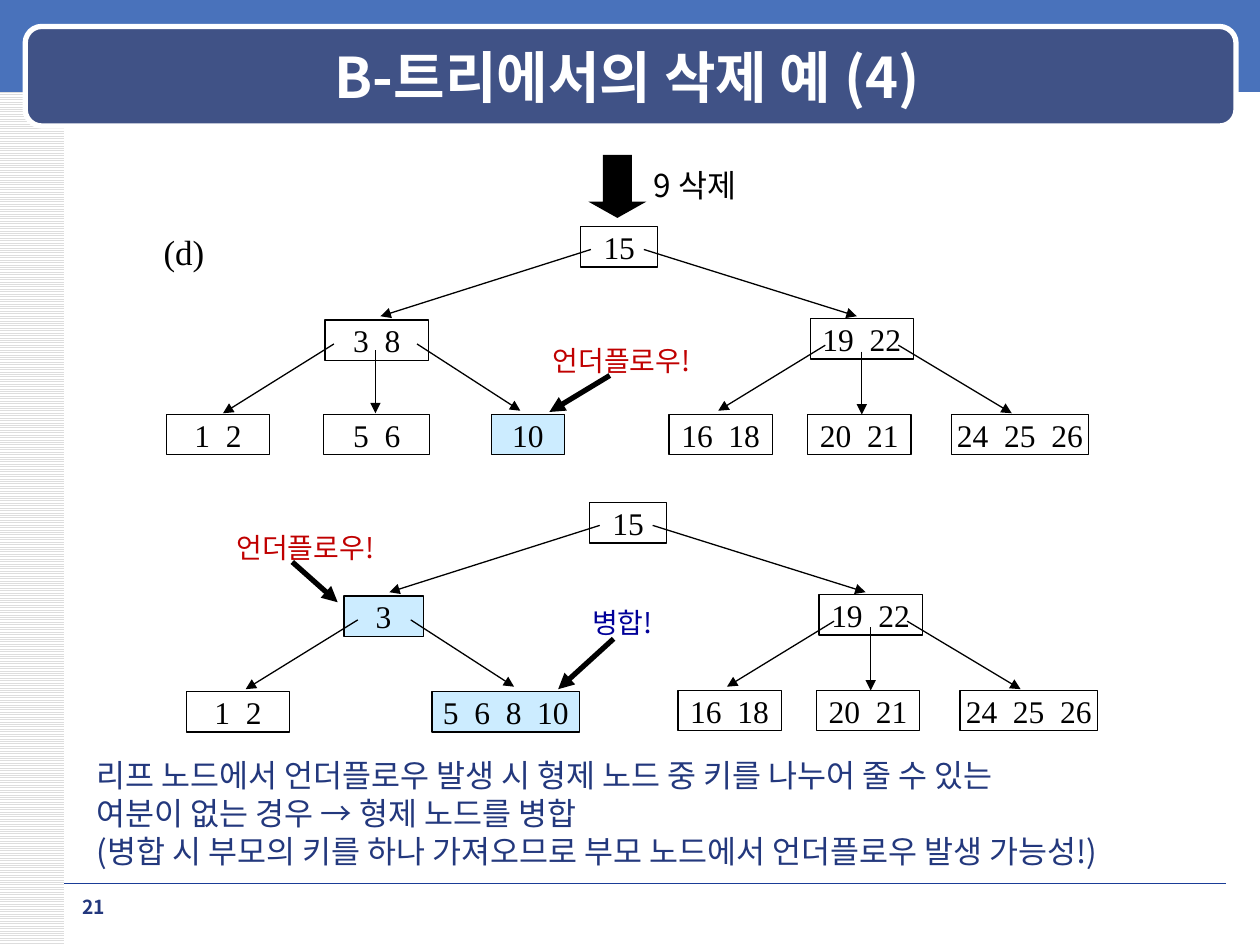
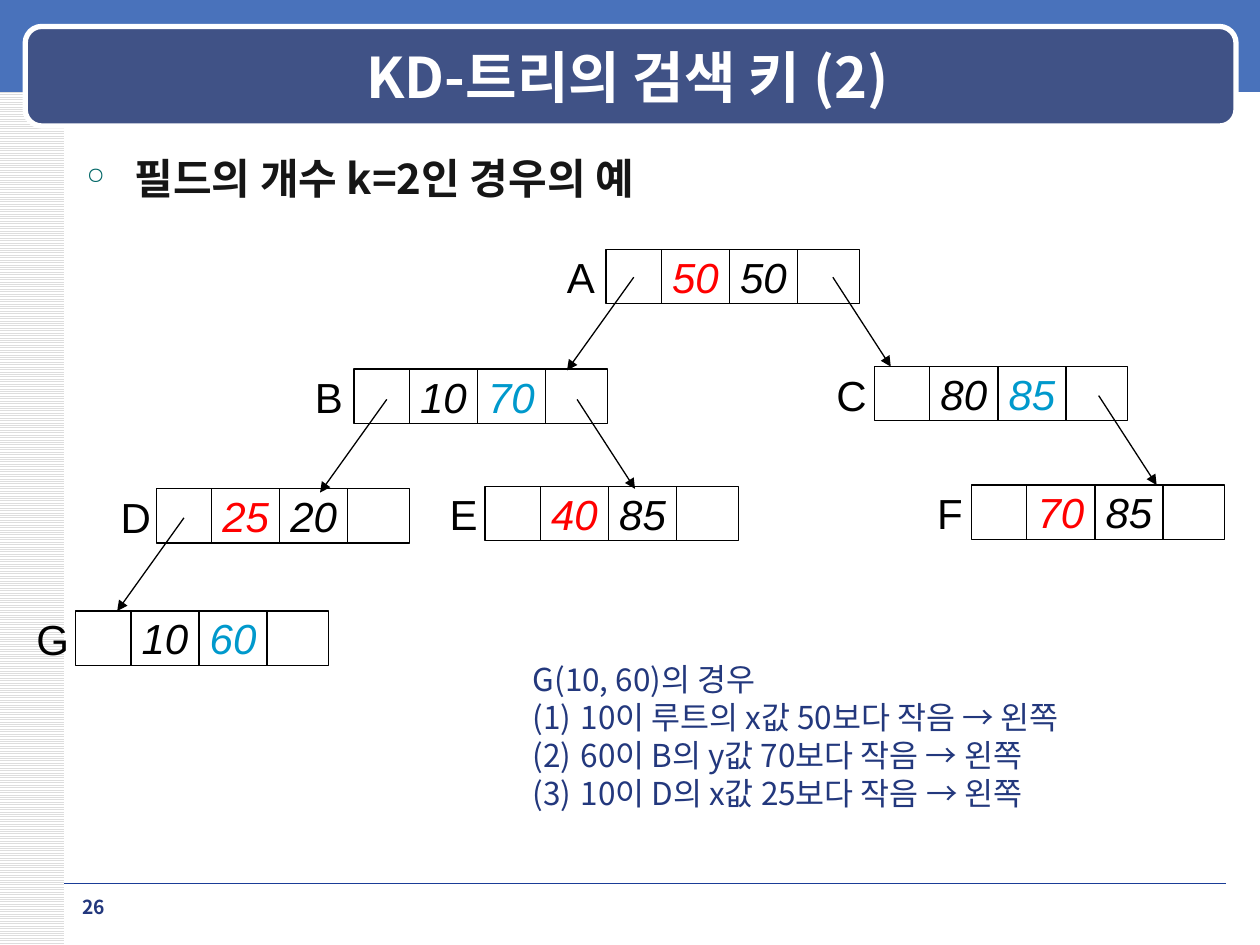
from lxml.etree import SubElement
from pptx import Presentation
from pptx.dml.color import RGBColor
from pptx.enum.dml import MSO_PATTERN
from pptx.enum.shapes import MSO_CONNECTOR, MSO_SHAPE
from pptx.enum.text import MSO_ANCHOR, MSO_AUTO_SIZE, PP_ALIGN
from pptx.oxml.ns import qn
from pptx.util import Inches, Pt

KOREAN, SERIF, SANS = "Noto Sans CJK KR", "Times New Roman", "Arial"
BLACK, WHITE, NAVY = "000000", "FFFFFF", "23387D"
RED, BLUE, WARNING, MERGE = "FF0000", "0099CC", "C00000", "000099"
HIGHLIGHT = "CCECFF"

NODE_HEIGHT = 0.32
KD_WIDTH, KD_HEIGHT = 2.01, 0.43
KEY_LEFT, KEY_WIDTH = 0.44, 0.54
LEFT_STEP, RIGHT_STEP = (-0.53, 0.74), (0.46, 0.71)


def color(value):
    return RGBColor.from_string(value)


def add_run(paragraph, text, size, font_name=KOREAN, ink=BLACK, bold=False, italic=False):
    run = paragraph.add_run()
    run.text = text
    font = run.font
    font.name, font.size, font.bold, font.italic = font_name, Pt(size), bold, italic
    font.color.rgb = color(ink)
    SubElement(font._element, qn("a:ea"), typeface=font_name)
    if font_name == KOREAN:
        paragraph.line_spacing = Pt(round(size * 1.2, 1))


def add_bullet(paragraph, character=None, ink=None, percent=None):
    """Hanging bullet: the given character, or numbers such as (1)."""
    properties = paragraph._p.get_or_add_pPr()
    properties.set("marL", str(Inches(0.38)))
    properties.set("indent", str(Inches(-0.38)))
    if ink:
        holder = SubElement(properties, qn("a:buClr"))
        SubElement(holder, qn("a:srgbClr"), val=ink)
    if percent:
        SubElement(properties, qn("a:buSzPct"), val=str(percent * 1000))
    if character:
        SubElement(properties, qn("a:buChar"), char=character)
    else:
        SubElement(properties, qn("a:buFont"), typeface=KOREAN)
        SubElement(properties, qn("a:buAutoNum"), type="arabicParenBoth")


def add_text(slide, box, lines, size, font_name=KOREAN, ink=BLACK, bold=False,
             wrap=False, align=PP_ALIGN.LEFT, anchor=MSO_ANCHOR.TOP):
    frame = slide.shapes.add_textbox(*map(Inches, box)).text_frame
    frame.word_wrap = wrap
    frame.auto_size = MSO_AUTO_SIZE.NONE if wrap else MSO_AUTO_SIZE.SHAPE_TO_FIT_TEXT
    frame.vertical_anchor = anchor
    for index, line in enumerate(lines):
        paragraph = frame.add_paragraph() if index else frame.paragraphs[0]
        paragraph.alignment = align
        add_run(paragraph, line, size, font_name, ink, bold)
    return frame


def add_box(slide, box, fill=None, line=None, width=0.75, kind=MSO_SHAPE.RECTANGLE):
    shape = slide.shapes.add_shape(kind, *map(Inches, box))
    shape.shadow.inherit = False
    if fill:
        shape.fill.solid()
        shape.fill.fore_color.rgb = color(fill)
    else:
        shape.fill.background()
    if line:
        shape.line.color.rgb = color(line)
        shape.line.width = Pt(width)
    else:
        shape.line.fill.background()
    return shape


def add_key_text(shape, text, size, font_name, ink=BLACK, italic=False):
    frame = shape.text_frame
    frame.word_wrap = False
    frame.vertical_anchor = MSO_ANCHOR.MIDDLE
    paragraph = frame.paragraphs[0]
    paragraph.alignment = PP_ALIGN.CENTER
    add_run(paragraph, text, size, font_name, ink, italic=italic)


def add_line(slide, start, end, ink=BLACK, width=0.75, arrow=True):
    connector = slide.shapes.add_connector(
        MSO_CONNECTOR.STRAIGHT, *map(Inches, (*start, *end)))
    connector.line.color.rgb = color(ink)
    connector.line.width = Pt(width)
    if arrow:
        SubElement(connector.line._get_or_add_ln(), qn("a:tailEnd"), type="triangle")
    SubElement(connector._element.spPr, qn("a:effectLst"))


def add_base(presentation, title, number):
    """Blank slide with the side strip, title band, footer rule and page number."""
    slide = presentation.slides.add_slide(presentation.slide_layouts[6])
    strip = add_box(slide, (0, 0, 0.51, 7.5))
    strip.fill.patterned()
    strip.fill.pattern = MSO_PATTERN.LIGHT_HORIZONTAL
    strip.fill.fore_color.rgb = color("DDDDDD")
    strip.fill.back_color.rgb = color(WHITE)
    add_box(slide, (0, -0.03, 10, 0.76), "4972BB")
    add_line(slide, (0.51, 7.01), (9.73, 7.01), "1A3D97", 0.25, arrow=False)
    add_box(slide, (0.2, 0.21, 9.61, 0.79), "405286", WHITE, 3, MSO_SHAPE.ROUNDED_RECTANGLE)
    add_text(slide, (0.71, 0.29, 8.54, 0.62), [title], 32, ink=WHITE, bold=True,
             wrap=True, align=PP_ALIGN.CENTER, anchor=MSO_ANCHOR.MIDDLE)
    add_text(slide, (0.51, 7.06, 0.47, 0.27), [str(number)], 11, ink=NAVY, bold=True,
             wrap=True, align=PP_ALIGN.CENTER)
    return slide


def add_tree(slide, left, top, left_nodes, left_links):
    """B-tree: root and right subtree are fixed, the left subtree is given."""
    right_nodes = [
        (0, 0, 0.61, "15", False), (1.82, 0.73, 0.82, "19  22", False),
        (0.7, 1.49, 0.82, "16  18", False), (1.8, 1.49, 0.82, "20  21", False),
        (2.94, 1.49, 1.09, "24  25  26", False),
    ]
    right_links = [
        ((0.08, 0.18), (-1.59, 0.71)), ((0.5, 0.18), (2.19, 0.71)),
        ((1.94, 0.94), (1.09, 1.46)), ((2.23, 0.99), (2.23, 1.49)),
        ((2.52, 0.94), (3.42, 1.48)),
    ]
    for x, y, width, keys, marked in right_nodes + left_nodes:
        node = add_box(slide, (left + x, top + y, width, NODE_HEIGHT),
                       HIGHLIGHT if marked else None, BLACK)
        add_key_text(node, keys, 18, SERIF)
    for start, end in right_links + left_links:
        add_line(slide, (left + start[0], top + start[1]), (left + end[0], top + end[1]))


def add_callout(slide, box, text, ink, start, end):
    add_text(slide, box, [text], 16, ink=ink)
    add_line(slide, start, end, width=3)


def build_deletion_slide(presentation):
    slide = add_base(presentation, "B-트리에서의 삭제 예 (4)", 21)

    # Deletion step
    arrow = add_box(slide, (4.67, 1.23, 0.46, 0.5), BLACK, kind=MSO_SHAPE.DOWN_ARROW)
    arrow.adjustments[1] = 0.28
    add_text(slide, (5.09, 1.27, 0.93, 0.4), ["9 삭제"], 18)
    add_text(slide, (1.2, 1.78, 0.8, 0.43), ["(d)"], 20, SERIF, wrap=True)

    # Tree before the merge
    add_tree(slide, 4.61, 1.8, [
        (-2.03, 0.74, 0.82, "3  8", False), (-3.29, 1.49, 0.82, "1  2", False),
        (-2.04, 1.49, 0.84, "5  6", False), (-0.71, 1.49, 0.58, "10", True),
    ], [
        ((-1.96, 0.93), (-2.84, 1.48)), ((-1.63, 0.98), (-1.63, 1.48)),
        ((-1.3, 0.93), (-0.48, 1.46)),
    ])
    add_callout(slide, (4.29, 2.68, 1.4, 0.37), "언더플로우!", WARNING,
                (4.84, 2.98), (4.36, 3.27))

    # Tree after the merge
    add_tree(slide, 4.68, 3.99, [
        (-1.95, 0.74, 0.63, "3", True), (-3.2, 1.5, 0.82, "1  2", False),
        (-1.25, 1.5, 1.17, "5  6  8  10", True),
    ], [
        ((-1.84, 0.93), (-2.73, 1.48)), ((-1.42, 0.93), (-0.6, 1.46)),
    ])
    add_callout(slide, (1.78, 4.16, 1.4, 0.37), "언더플로우!", WARNING,
                (2.32, 4.46), (2.68, 4.78))
    add_callout(slide, (4.6, 4.76, 0.72, 0.37), "병합!", MERGE,
                (4.87, 5.07), (4.43, 5.47))

    # Explanation
    add_text(slide, (0.67, 5.95, 9.15, 1.01), [
        "리프 노드에서 언더플로우 발생 시 형제 노드 중 키를 나누어 줄 수 있는",
        "여분이 없는 경우 → 형제 노드를 병합",
        "(병합 시 부모의 키를 하나 가져오므로 부모 노드에서 언더플로우 발생 가능성!)",
    ], 18, ink=NAVY)


def add_kd_node(slide, label, label_gap, left, top, keys, inks):
    """Record with two keys between its left and right pointer fields."""
    add_box(slide, (left, top, KD_WIDTH, KD_HEIGHT), line=BLACK)
    for index, (key, ink) in enumerate(zip(keys, inks)):
        cell = add_box(slide, (left + KEY_LEFT + index * KEY_WIDTH, top, KEY_WIDTH, KD_HEIGHT),
                       line=BLACK)
        add_key_text(cell, str(key), 24, SANS, ink, italic=True)
    add_text(slide, (left - label_gap, top - 0.03, 0.43, 0.5), [label], 24, SANS)


def build_kd_slide(presentation):
    slide = add_base(presentation, "KD-트리의 검색 키 (2)", 26)
    heading = add_text(slide, (0.59, 1.16, 8.9, 5.74), ["필드의 개수 k=2인 경우의 예"],
                       24, ink="161616", bold=True, wrap=True)
    add_bullet(heading.paragraphs[0], "○", "006666", 55)

    # Nodes: the compared key is coloured, x and y taking turns by level
    compare_x, compare_y = (RED, BLACK), (BLACK, BLUE)
    nodes = [
        ("A", 0.41, 4.81, 1.98, (50, 50), compare_x),
        ("B", 0.41, 2.81, 2.93, (10, 70), compare_y),
        ("C", 0.4, 6.94, 2.91, (80, 85), compare_y),
        ("D", 0.38, 1.24, 3.88, (25, 20), compare_x),
        ("E", 0.38, 3.85, 3.86, (40, 85), compare_x),
        ("F", 0.37, 7.71, 3.85, (70, 85), compare_x),
        ("G", 0.41, 0.6, 4.85, (10, 60), compare_y),
    ]
    for node in nodes:
        add_kd_node(slide, *node)

    # Pointers
    pointers = [
        (5.03, 2.2, LEFT_STEP), (6.61, 2.2, RIGHT_STEP), (3.07, 3.17, LEFT_STEP),
        (4.58, 3.17, RIGHT_STEP), (8.72, 3.14, RIGHT_STEP), (1.46, 4.11, LEFT_STEP),
    ]
    for x, y, (across, down) in pointers:
        add_line(slide, (x, y), (x + across, y + down))

    # Search steps
    steps = add_text(slide, (4.13, 5.19, 4.81, 1.31), [
        "G(10, 60)의 경우",
        "10이 루트의 x값 50보다 작음 → 왼쪽",
        "60이 B의 y값 70보다 작음 → 왼쪽",
        "10이 D의 x값 25보다 작음 → 왼쪽",
    ], 18, ink=NAVY)
    for paragraph in steps.paragraphs[1:]:
        add_bullet(paragraph)


def main():
    presentation = Presentation()
    presentation.slide_width, presentation.slide_height = Inches(10), Inches(7.5)
    build_deletion_slide(presentation)
    build_kd_slide(presentation)
    presentation.save("out.pptx")


if __name__ == "__main__":
    main()
